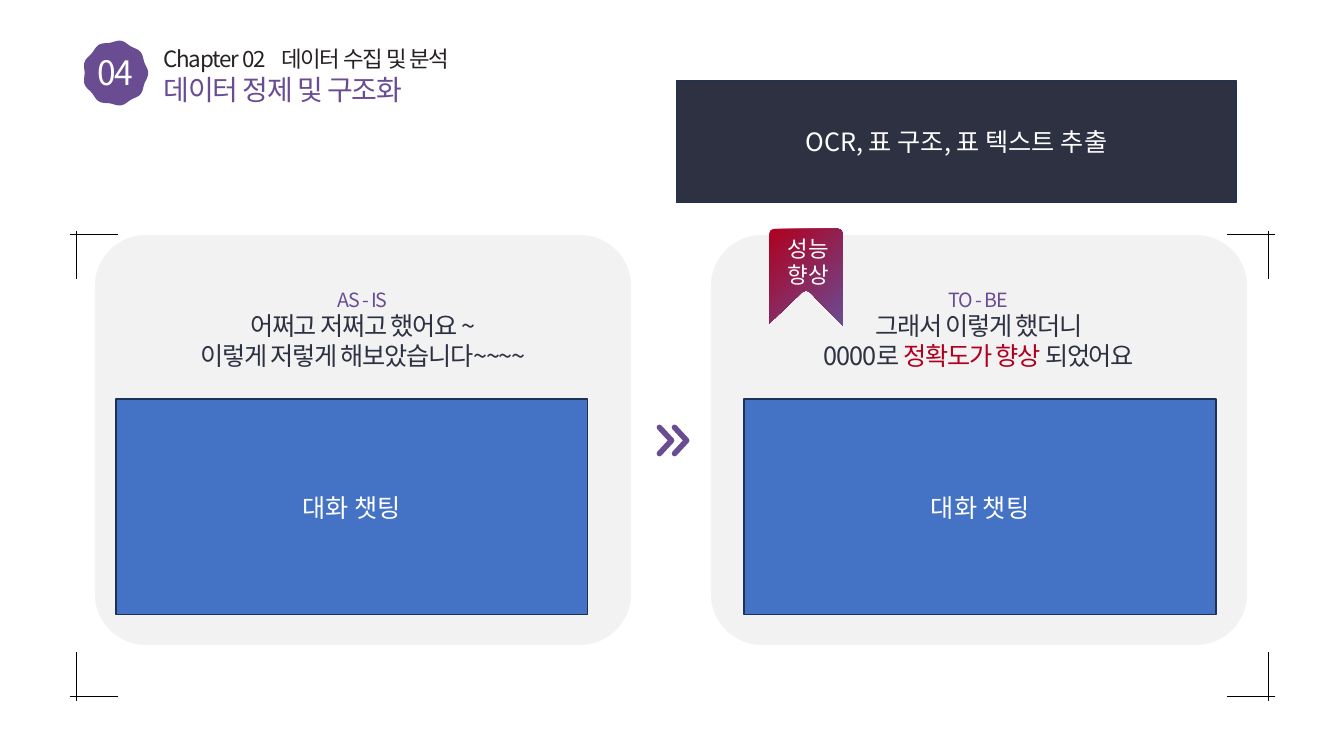
from math import cos, pi, sin

from lxml.etree import SubElement
from pptx import Presentation
from pptx.dml.color import RGBColor
from pptx.enum.shapes import MSO_CONNECTOR, MSO_SHAPE
from pptx.enum.text import MSO_ANCHOR, MSO_AUTO_SIZE, PP_ALIGN
from pptx.oxml.ns import qn
from pptx.util import Inches, Pt

FONT = "Noto Sans CJK KR"
PURPLE = RGBColor(0x6A, 0x4C, 0x93)
RED = RGBColor(0xB0, 0x00, 0x20)
NAVY = RGBColor(0x2D, 0x31, 0x42)
INK = RGBColor(0x26, 0x21, 0x22)
BLUE = RGBColor(0x44, 0x72, 0xC4)
OUTLINE = RGBColor(0x1E, 0x32, 0x56)
PANEL = RGBColor(0xF2, 0xF2, 0xF2)
WHITE = RGBColor(0xFF, 0xFF, 0xFF)
BLACK = RGBColor(0, 0, 0)

WIDTH, HEIGHT = 13.33, 7.5
PANEL_TOP, PANEL_WIDTH, PANEL_HEIGHT = 2.33, 5.32, 4.07


def style_run(span, size, color, tracking=0):
    span.font.size = Pt(size)
    span.font.name = FONT
    span.font.color.rgb = color
    properties = span.font._element
    if tracking:
        properties.set("spc", str(round(tracking * 100)))
    SubElement(properties, qn("a:ea")).set("typeface", FONT)


def fill_text(shape, lines, size, tracking=0, align=PP_ALIGN.CENTER, leading=None):
    """Write lines, each a list of (text, color) spans, centred vertically."""
    frame = shape.text_frame
    frame.word_wrap = True
    frame.auto_size = MSO_AUTO_SIZE.NONE
    frame.vertical_anchor = MSO_ANCHOR.MIDDLE
    for index, line in enumerate(lines):
        para = frame.add_paragraph() if index else frame.paragraphs[0]
        para.alignment = align
        if leading:
            para.line_spacing = Pt(leading)
        for text, color in line:
            span = para.add_run()
            span.text = text
            style_run(span, size, color, tracking)


def add_text(page, left, top, width, height, lines, size, **options):
    box = page.shapes.add_textbox(Inches(left), Inches(top), Inches(width), Inches(height))
    fill_text(box, lines, size, **options)
    return box


def add_block(page, kind, left, top, width, height, fill, outline=None):
    block = page.shapes.add_shape(
        kind, Inches(left), Inches(top), Inches(width), Inches(height))
    block.shadow.inherit = False
    block.fill.solid()
    block.fill.fore_color.rgb = fill
    if outline is None:
        block.line.fill.background()
    else:
        block.line.color.rgb = outline
        block.line.width = Pt(1)
    return block


def add_outline(page, points, close=True):
    points = [(Inches(x), Inches(y)) for x, y in points]
    builder = page.shapes.build_freeform(*points[0], scale=1.0)
    builder.add_line_segments(points[1:], close=close)
    shape = builder.convert_to_shape()
    shape.shadow.inherit = False
    return shape


def add_badge(page, left, top, size):
    """Draw the scalloped number badge."""
    center_x, center_y = left + size / 2, top + size / 2
    points = []
    for step in range(144):
        angle = 2 * pi * step / 144
        radius = size * (0.485 + 0.015 * cos(9 * angle))
        points.append((center_x + radius * cos(angle), center_y + radius * sin(angle)))
    badge = add_outline(page, points)
    badge.fill.solid()
    badge.fill.fore_color.rgb = PURPLE
    badge.line.fill.background()
    add_text(page, left, top + 0.05, size, 0.53, [[("04", WHITE)]], 24, tracking=-0.9)


def add_heading(page, left, top, width):
    title = page.shapes.title
    title.left, title.top = Inches(left), Inches(top + 0.23)
    title.width, title.height = Inches(width), Inches(0.41)
    fill_text(title, [[("데이터 정제 및 구조화", PURPLE)]], 20,
              tracking=-0.8, align=PP_ALIGN.LEFT)
    chapter = add_text(page, left, top, width, 0.27,
                       [[("Chapter 02\t데이터 수집 및 분석", INK)]], 16,
                       tracking=-0.8, align=PP_ALIGN.LEFT)
    properties = chapter.text_frame.paragraphs[0]._p.get_or_add_pPr()
    tab = SubElement(SubElement(properties, qn("a:tabLst")), qn("a:tab"))
    tab.set("pos", str(Inches(1.17)))
    tab.set("algn", "l")


def add_corner_marks(page, left, top, right, bottom):
    """Draw a cross of two hairlines at each corner of the frame."""
    overshoot, arm = 0.07, 0.41
    for x, inward_x in ((left, 1), (right, -1)):
        for y, inward_y in ((top, 1), (bottom, -1)):
            strokes = (
                (x - inward_x * overshoot, y, x + inward_x * arm, y),
                (x, y - inward_y * 0.04, x, y + inward_y * 0.44),
            )
            for stroke in strokes:
                mark = page.shapes.add_connector(
                    MSO_CONNECTOR.STRAIGHT, *(Inches(value) for value in stroke))
                mark.line.color.rgb = BLACK
                mark.line.width = Pt(0.5)
                SubElement(mark._element.spPr, qn("a:effectLst"))


def add_panel(page, left, label, lines, chat_inset):
    top = PANEL_TOP
    panel = add_block(page, MSO_SHAPE.ROUNDED_RECTANGLE, left, top,
                      PANEL_WIDTH, PANEL_HEIGHT, PANEL)
    panel.adjustments[0] = 0.126
    color = panel._element.spPr.find(qn("a:solidFill"))[0]
    SubElement(color, qn("a:alpha")).set("val", "96000")
    middle = left + PANEL_WIDTH / 2
    add_text(page, middle - 1.9, top + 0.88, 3.8, 0.33, lines, 18,
             tracking=-0.9, leading=21.5)
    add_text(page, middle - 0.67, top + 0.53, 1.33, 0.23, [[(label, PURPLE)]], 14,
             tracking=-0.8)
    chat = add_block(page, MSO_SHAPE.RECTANGLE, left + chat_inset, top + 1.63,
                     4.68, 2.14, BLUE, OUTLINE)
    fill_text(chat, [[("대화 챗팅", WHITE)]], 18)


def add_chevrons(page, left, top):
    for x in (left, left + 0.15):
        chevron = add_outline(
            page, [(x, top), (x + 0.12, top + 0.13), (x, top + 0.26)], close=False)
        chevron.fill.background()
        chevron.line.color.rgb = PURPLE
        chevron.line.width = Pt(4)
        stroke = chevron.line._get_or_add_ln()
        stroke.set("cap", "rnd")
        SubElement(stroke, qn("a:round"))


def add_ribbon(page, left, top, width, height):
    right, bottom, curve = left + width, top + height, 0.05
    bevel = curve * 0.3
    ribbon = add_outline(page, [
        (left + curve, top), (right - curve, top), (right - bevel, top + bevel),
        (right, top + curve), (right, bottom),
        (left + width / 2 + 0.04, top + 0.63), (left + width / 2, top + 0.61),
        (left + width / 2 - 0.04, top + 0.63), (left, bottom - 0.02),
        (left, top + curve), (left + bevel, top + bevel)])
    ribbon.fill.gradient()
    ribbon.fill.gradient_angle = 315
    for stop, color in zip(ribbon.fill.gradient_stops, (RED, PURPLE)):
        stop.color.rgb = color
    ribbon.line.fill.background()
    add_text(page, left, top + 0.15, width + 0.04, 0.35,
             [[("성능", WHITE)], [("향상", WHITE)]], 16, leading=19)


def build_slide(page):
    add_badge(page, 0.82, 0.4, 0.65)
    add_heading(page, 1.52, 0.45, 3.55)
    add_corner_marks(page, 0.76, PANEL_TOP, WIDTH - 0.75, 6.91)
    add_panel(page, 0.94, "AS - IS",
              [[("어쩌고 저쩌고 했어요 ~", NAVY)],
               [("이렇게 저렇게 해보았습니다~~~~", NAVY)]], 0.21)
    add_panel(page, 7.05, "TO - BE",
              [[("그래서 이렇게 했더니", NAVY)],
               [("0000로 ", NAVY), ("정확도가 향상 ", RED), ("되었어요", NAVY)]], 0.33)
    add_chevrons(page, 6.54, 4.24)
    add_ribbon(page, 7.63, 2.27, 0.73, 0.96)
    banner = add_block(page, MSO_SHAPE.RECTANGLE, 6.71, 0.8, 5.55, 1.21, NAVY, OUTLINE)
    fill_text(banner, [[("OCR, 표 구조, 표 텍스트 추출", WHITE)]], 18)


def main():
    deck = Presentation()
    deck.slide_width, deck.slide_height = Inches(WIDTH), Inches(HEIGHT)
    build_slide(deck.slides.add_slide(deck.slide_layouts[5]))
    deck.save("out.pptx")


if __name__ == "__main__":
    main()
